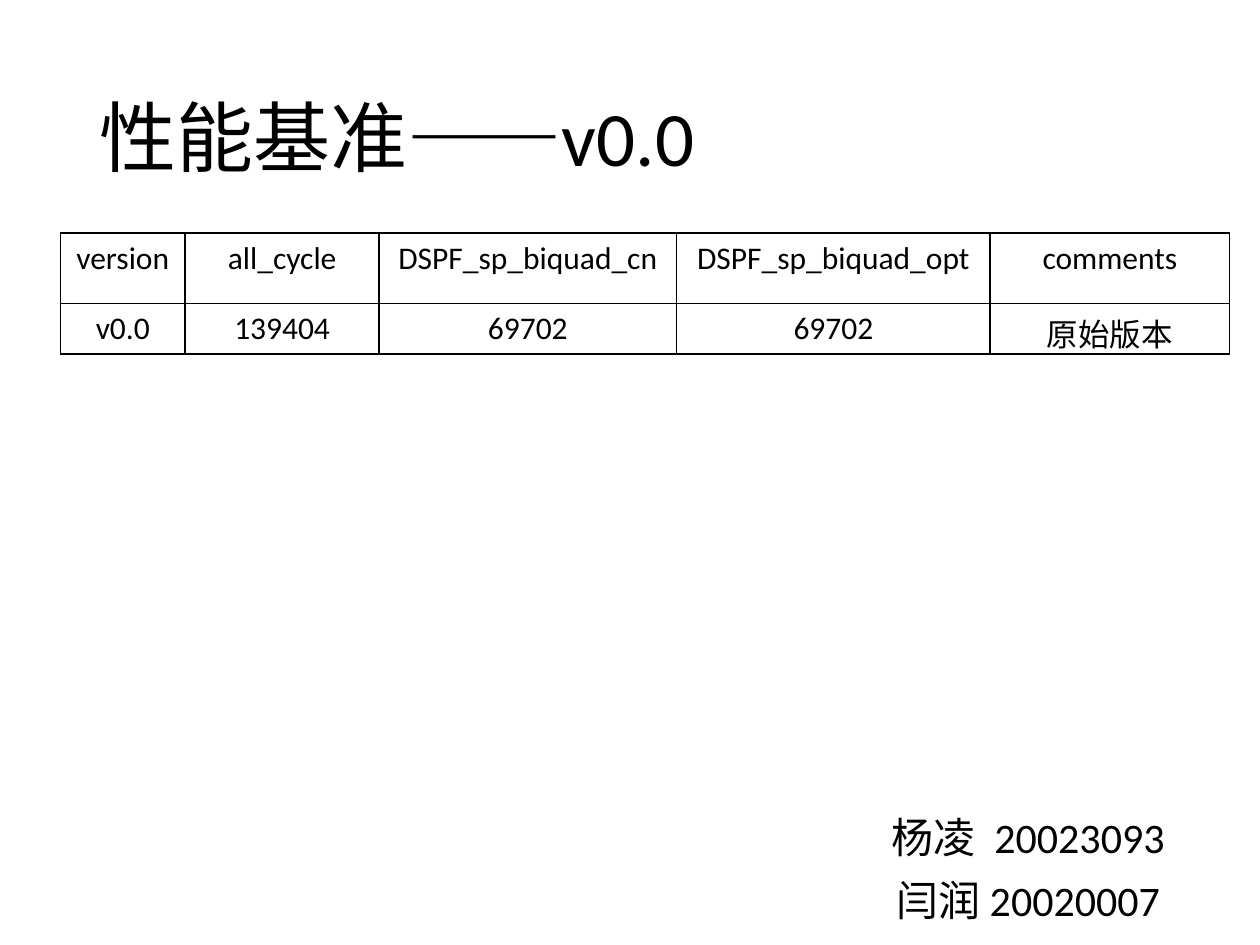
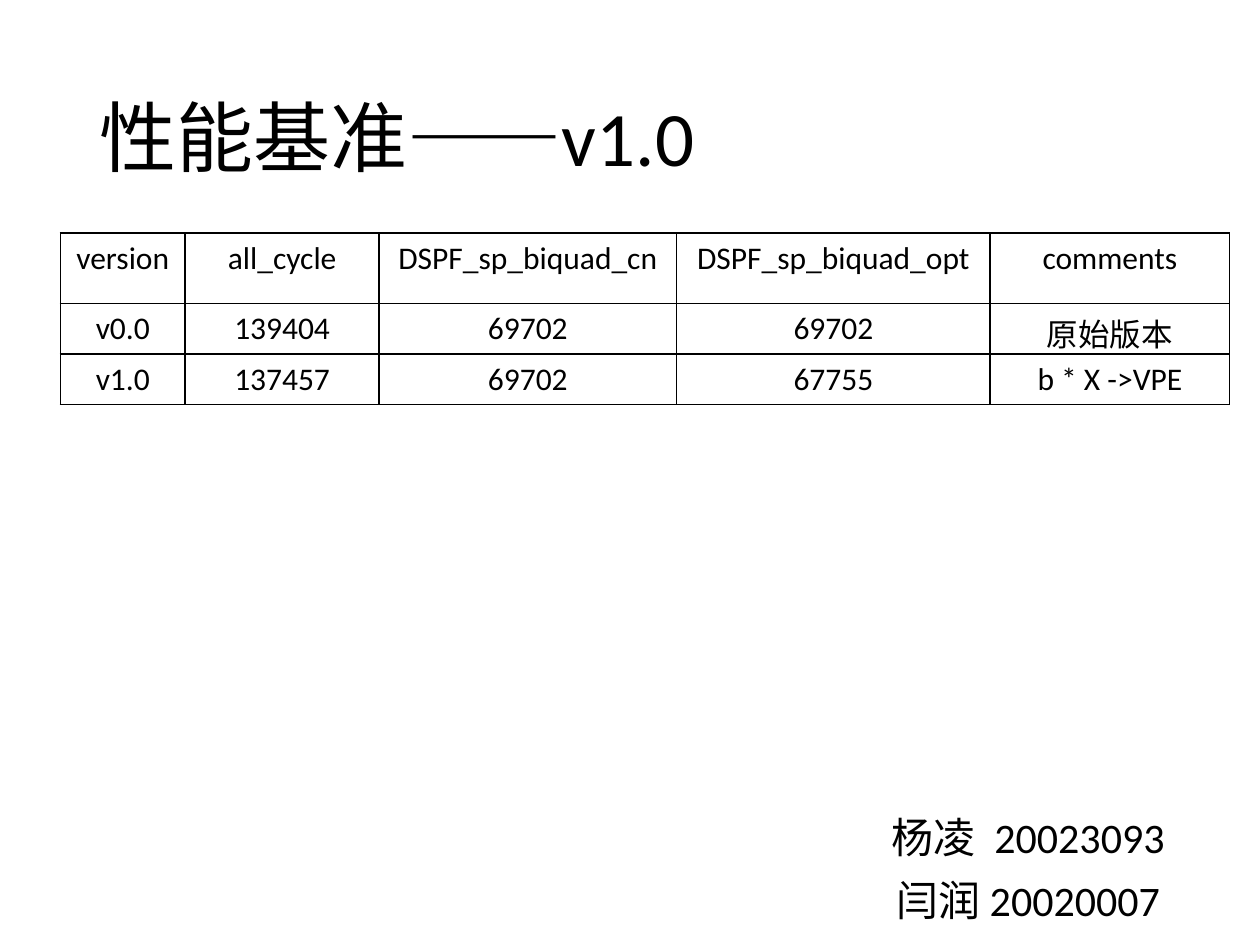
"""Builds the benchmark slides, one for each version, with a growing results table."""
from dataclasses import dataclass

from lxml.etree import SubElement
from pptx import Presentation
from pptx.dml.color import RGBColor
from pptx.enum.text import MSO_ANCHOR, MSO_AUTO_SIZE, PP_ALIGN
from pptx.oxml.ns import qn
from pptx.util import Inches, Pt

HEADER = ("version", "all_cycle", "DSPF_sp_biquad_cn", "DSPF_sp_biquad_opt", "comments")
RESULTS = [
    ("v0.0", "139404", "69702", "69702", "原始版本"),
    ("v1.0", "137457", "69702", "67755", "b\u00a0*\u00a0X ->VPE"),
]
AUTHORS = ("杨凌  20023093", "闫润 20020007")
TITLE = "性能基准——{}"


@dataclass(frozen=True)
class Theme:
    ink: str = "000000"
    paper: str = "FFFFFF"
    font: str = "Calibri"
    title_size: int = 44
    author_size: int = 24
    table_size: int = 18
    border: int = 1


THEME = Theme()
WIDTH, HEIGHT = 10, 7.5
TITLE_BOX = (0.69, 0.4, 8.62, 1.45)
AUTHOR_BOX = (6.32, 6.44, WIDTH - 6.32, HEIGHT - 6.44)
TABLE_LEFT, TABLE_TOP = 0.48, TITLE_BOX[1] + TITLE_BOX[3]
COLUMNS = (0.99, 1.54, 2.36, 2.49, 1.9)
HEADER_ROW, RESULT_ROW = 0.56, 0.35


def assign(target, values):
    for name, value in values.items():
        setattr(target, name, value)


def place(shape, box):
    assign(shape, dict(zip(("left", "top", "width", "height"), map(Inches, box))))


def write(frame, lines, size, **layout):
    frame.text = "\n".join(lines)
    for paragraph in frame.paragraphs:
        assign(paragraph, layout)
        for run in paragraph.runs:
            assign(run.font, {"name": THEME.font, "size": Pt(size)})
            run.font.color.rgb = RGBColor.from_string(THEME.ink)


def draw_borders(cell):
    properties = cell._tc.get_or_add_tcPr()
    for index, side in enumerate(("lnL", "lnR", "lnT", "lnB")):
        line = SubElement(properties, qn(f"a:{side}"), w=str(Pt(THEME.border)))
        properties.insert(index, line)
        fill = SubElement(line, qn("a:solidFill"))
        SubElement(fill, qn("a:srgbClr"), val=THEME.ink)


def add_title(slide, version):
    title = slide.shapes.title
    place(title, TITLE_BOX)
    frame = title.text_frame
    assign(frame, {"vertical_anchor": MSO_ANCHOR.MIDDLE, "auto_size": MSO_AUTO_SIZE.NONE,
                   "word_wrap": True})
    write(frame, [TITLE.format(version)], THEME.title_size,
          alignment=PP_ALIGN.LEFT, line_spacing=0.9)


def add_authors(slide):
    frame = slide.shapes.add_textbox(*map(Inches, AUTHOR_BOX)).text_frame
    frame.word_wrap = True
    write(frame, AUTHORS, THEME.author_size,
          alignment=PP_ALIGN.CENTER, line_spacing=0.9, space_before=Pt(10))


def add_results(slide, results):
    rows = [HEADER, *results]
    heights = [HEADER_ROW] + [RESULT_ROW] * len(results)
    box = (TABLE_LEFT, TABLE_TOP, sum(COLUMNS), sum(heights))
    table = slide.shapes.add_table(len(rows), len(COLUMNS), *map(Inches, box)).table
    assign(table, {"first_row": False, "horz_banding": False})
    for column, width in zip(table.columns, COLUMNS):
        column.width = Inches(width)
    for row, height, values in zip(table.rows, heights, rows):
        row.height = Inches(height)
        for cell, value in zip(row.cells, values):
            cell.fill.solid()
            cell.fill.fore_color.rgb = RGBColor.from_string(THEME.paper)
            draw_borders(cell)
            write(cell.text_frame, [value], THEME.table_size, alignment=PP_ALIGN.CENTER)


presentation = Presentation()
assign(presentation, {"slide_width": Inches(WIDTH), "slide_height": Inches(HEIGHT)})
title_only = presentation.slide_layouts.get_by_name("Title Only")
for count, (version, *_) in enumerate(RESULTS, start=1):
    slide = presentation.slides.add_slide(title_only)
    add_authors(slide)
    add_title(slide, version)
    add_results(slide, RESULTS[:count])
presentation.save("out.pptx")
